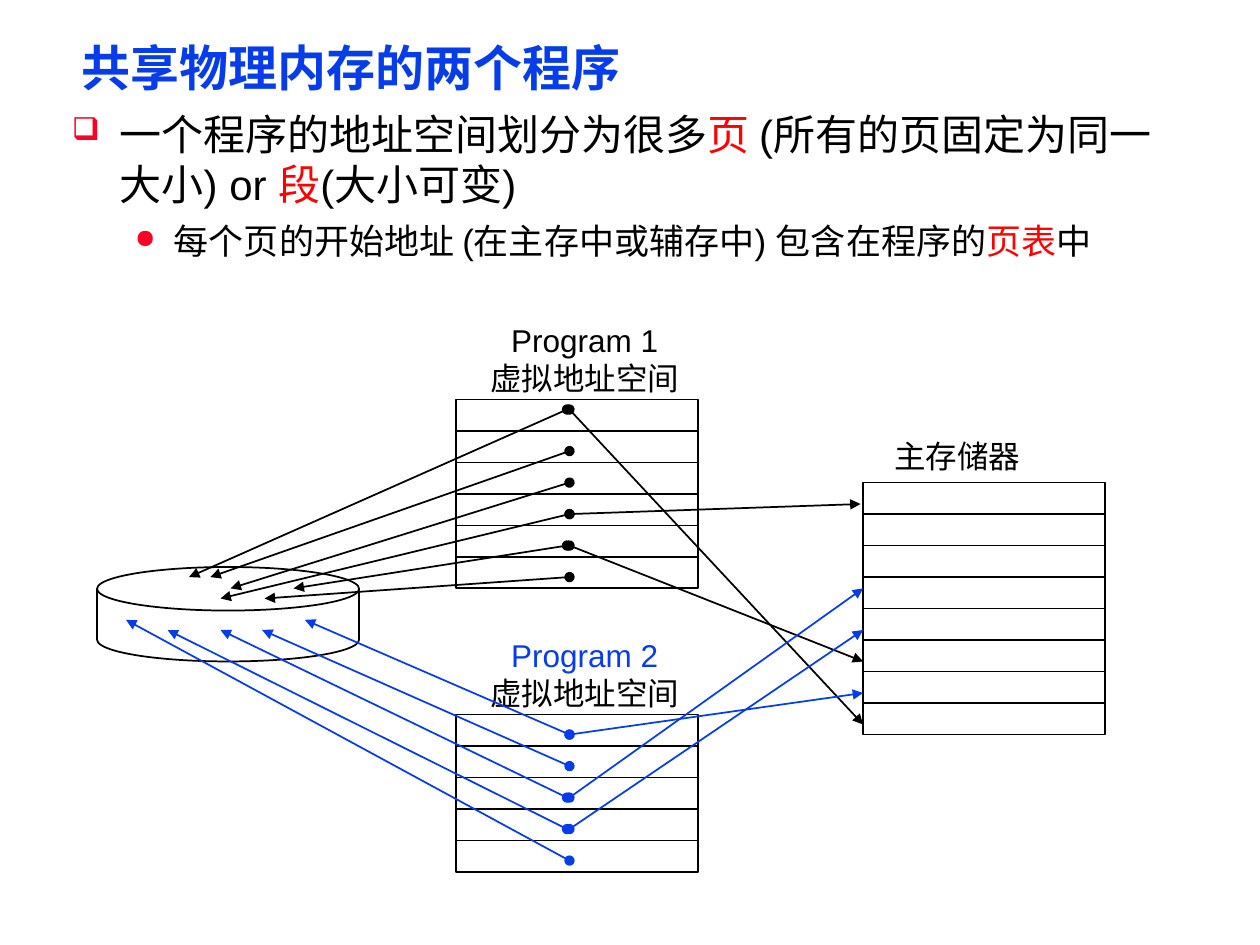
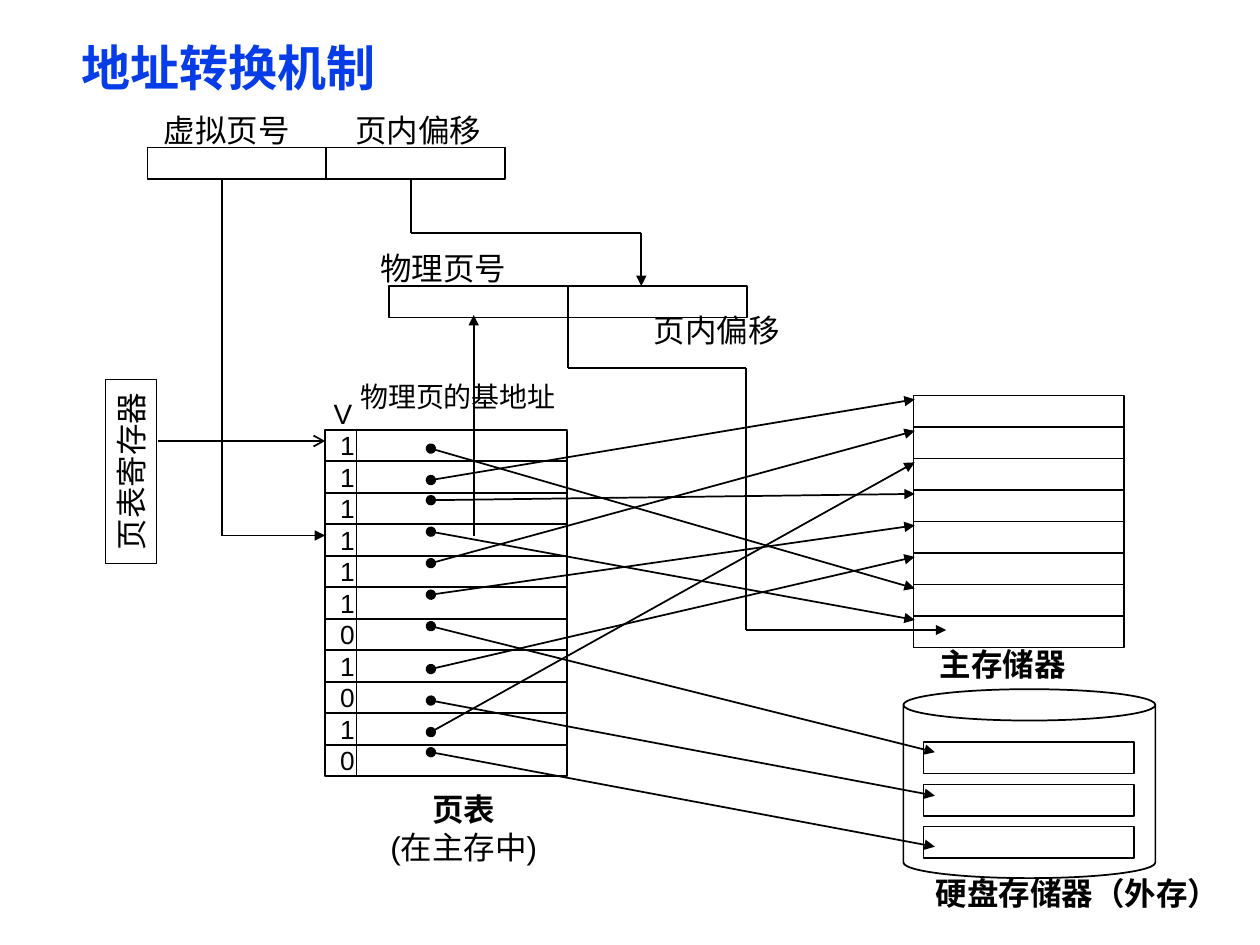
import dataclasses
import itertools

import lxml.etree
import pptx
import pptx.dml.color
import pptx.enum.shapes
import pptx.enum.text
import pptx.oxml.ns
import pptx.util

COLORS = {"ink": "000000", "blue": "063DE8", "red": "FF0000", "bullet": "FC0128"}
FONT = "Arial"
COLS, ROWS = 100, 75
CELL = pptx.util.Inches(0.1)
ROW = 2.5
SHAPE = pptx.enum.shapes.MSO_SHAPE
CENTER = pptx.enum.text.PP_ALIGN.CENTER


@dataclasses.dataclass
class Box:
    """A region measured in grid columns and rows."""
    left: float
    top: float
    width: float
    height: float

    def at(self, x, y):
        """Return the grid point x columns and y rows inside the region."""
        return self.left + x, self.top + y

    def inner(self, x, y, width, height):
        """Return a region placed relative to this one."""
        return Box(*self.at(x, y), width, height)

    def emu(self):
        """Return the region as slide lengths."""
        return [cells(n) for n in dataclasses.astuple(self)]


def cells(count):
    """Turn a count of grid cells into a slide length."""
    return int(count * CELL)


def rgb(name):
    """Look up a palette colour."""
    return pptx.dml.color.RGBColor.from_string(COLORS[name])


def add(parent, tag, **attributes):
    """Append a drawing element to its parent."""
    element = lxml.etree.SubElement(parent, pptx.oxml.ns.qn(tag))
    for key, value in attributes.items():
        element.set(key, value)
    return element


def outline(slide, box, kind=SHAPE.RECTANGLE, width=1):
    """Draw an unfilled preset shape with a black line."""
    shape = slide.shapes.add_shape(kind, *box.emu())
    shape.shadow.inherit = False
    shape.fill.background()
    shape.line.color.rgb = rgb("ink")
    shape.line.width = pptx.util.Pt(width)
    return shape


def line(slide, start, end, color="ink", head=None, tail=None):
    """Draw a straight line with optional end marks."""
    points = [cells(n) for n in (*start, *end)]
    link = slide.shapes.add_connector(pptx.enum.shapes.MSO_CONNECTOR.STRAIGHT, *points)
    link.line.color.rgb = rgb(color)
    link.line.width = pptx.util.Pt(1)
    properties = link.element.spPr
    stroke = properties.find(pptx.oxml.ns.qn("a:ln"))
    for tag, mark in (("a:headEnd", head), ("a:tailEnd", tail)):
        if mark:
            add(stroke, tag, type=mark)
    add(properties, "a:effectLst")


def pointer(slide, start, end, color="ink"):
    """Draw a reference from a dot to a place in storage."""
    line(slide, start, end, color, head="oval", tail="triangle")


def route(slide, *points):
    """Draw a path of straight segments that ends in an arrow."""
    pairs = list(itertools.pairwise(points))
    for start, end in pairs[:-1]:
        line(slide, start, end)
    line(slide, *pairs[-1], tail="triangle")


def write(frame, *paragraphs, size=18, bold=False, color="ink", align=None,
          wrap=False, margins=(1, 0.5), spacing=None):
    """Fill a text frame; a paragraph is a string or a list of (text, format) runs."""
    frame.word_wrap = wrap
    frame.vertical_anchor = pptx.enum.text.MSO_ANCHOR.TOP
    frame.margin_left = frame.margin_right = cells(margins[0])
    frame.margin_top = frame.margin_bottom = cells(margins[1])
    for index, content in enumerate(paragraphs):
        paragraph = frame.add_paragraph() if index else frame.paragraphs[0]
        paragraph.alignment = align
        if spacing:
            paragraph.line_spacing = spacing
        for text, changes in [(content, {})] if isinstance(content, str) else content:
            look = {"size": size, "bold": bold, "color": color, **changes}
            run = paragraph.add_run()
            run.text = text
            run.font.name = FONT
            run.font.size = pptx.util.Pt(look["size"])
            run.font.bold = look["bold"]
            run.font.color.rgb = rgb(look["color"])


def label(slide, box, *paragraphs, **look):
    """Place a text box and return its frame."""
    frame = slide.shapes.add_textbox(*box.emu()).text_frame
    write(frame, *paragraphs, **look)
    return frame


def bullet(paragraph, mark, left, hang, before=0, level=0):
    """Give a paragraph a hanging red bullet."""
    paragraph.level = level
    properties = paragraph._p.get_or_add_pPr()
    properties.set("marL", str(cells(left)))
    properties.set("indent", str(-cells(hang)))
    color = add(properties, "a:buClr")
    add(color, "a:srgbClr", val=COLORS["bullet"])
    add(properties, "a:buSzPct", val="75000")
    add(properties, "a:buChar", char=mark)
    paragraph.space_before = pptx.util.Pt(before)


def titled_slide(deck, title):
    """Add a blank slide with the shared title."""
    slide = deck.slides.add_slide(deck.slide_layouts[6])
    label(slide, Box(5.8, 3.3, 89.2, 4.7), title, size=28, bold=True, color="blue",
          wrap=True, margins=(0.7, 0.3), spacing=0.87)
    return slide


def pages(slide, box):
    """Draw a block of memory ruled into pages of equal height."""
    outline(slide, box)
    for row in range(1, round(box.height / ROW)):
        line(slide, box.at(0, row * ROW), box.at(box.width, row * ROW))


def disk(slide, box, rim):
    """Draw a disk drum with the given rim depth."""
    outline(slide, box, SHAPE.CAN).adjustments[0] = rim


def sharing_text(slide, box):
    """Place the points about pages and segments."""
    red = {"color": "red"}
    detail = {"size": 20}
    frame = label(
        slide, box,
        [("一个程序的地址空间划分为很多", {}), ("页 ", red),
         ("(所有的页固定为同一大小) or ", {}), ("段", red), ("(大小可变)", {})],
        [("每个页的开始地址 (在主存中或辅存中) 包含在程序的", detail),
         ("页表", {**detail, **red}), ("中", detail)],
        size=24, wrap=True, margins=(0.7, 0.3))
    point, subpoint = frame.paragraphs
    bullet(point, "❑", 3.8, 3.8)
    bullet(subpoint, "●", 8.1, 3.1, before=6, level=1)


def program(slide, box, name, color, drum, memory, on_disk, in_memory):
    """Draw a virtual address space and the places its pages map to."""
    pages(slide, box)
    label(slide, box.inner(1.6, -6.7, 17.2, 7.1), [(name, {"color": color})],
          "虚拟地址空间", align=CENTER)
    for dot, place in on_disk:
        pointer(slide, box.at(*dot), drum.at(*place), color)
    for dot, place in in_memory:
        pointer(slide, box.at(*dot), memory.at(*place), color)


def shared_memory_slide(deck):
    """Build the slide on two programs that share physical memory."""
    slide = titled_slide(deck, "共享物理内存的两个程序")
    sharing_text(slide, Box(5, 8.3, 89.2, 13))
    drum = Box(7.7, 45, 20.8, 7.5)
    memory = Box(68.5, 38.3, 19.2, 20)
    disk(slide, drum, 0.461)
    pages(slide, memory)
    label(slide, memory.inner(1.5, -4.1, 12.1, 4), "主存储器")
    program(
        slide, Box(36.2, 31.7, 19.2, 15), "Program 1", "ink", drum, memory,
        on_disk=[((8.8, 0.8), (7.3, 0.8)), ((9, 4.1), (9, 0.8)),
                 ((9, 6.6), (10.6, 1.7)), ((9, 9.1), (9.8, 2.5)),
                 ((8.8, 11.6), (15.6, 1.7)), ((9, 14.1), (13.3, 2.5))],
        in_memory=[((9, 0.8), (0, 19.2)), ((9, 9.1), (-0.2, 1.7)),
                   ((9, 11.6), (0, 14.2))])
    program(
        slide, Box(36.2, 56.7, 19.2, 12.5), "Program 2", "blue", drum, memory,
        on_disk=[((9, 1.6), (16.5, 4.2)), ((9, 4.1), (13.1, 5)),
                 ((8.8, 6.6), (9.8, 5)), ((8.8, 9.1), (5.6, 5)),
                 ((9, 11.6), (2.3, 4.2))],
        in_memory=[((9, 1.6), (0, 16.7)), ((9, 6.6), (0, 8.4)),
                   ((9, 9.1), (0, 11.7))])


def address(slide, box, page_name, page_at, offset_at):
    """Draw an address split into a page number and an offset."""
    half = box.width / 2
    for side in range(2):
        outline(slide, box.inner(side * half, 0, half, box.height))
    for text, place in ((page_name, page_at), ("页内偏移", offset_at)):
        label(slide, box.inner(*place, 12.1, 4), text)


def page_table(slide, box, memory, slots):
    """Draw the page table, its valid bits and the page each entry refers to."""
    entries = [(1, 6, 1.5), (1, 0, 4), (1, 3, 5.6), (1, 7, 8.1), (1, 1, 10.6),
               (1, 4, 13.1), (0, 0, 15.6), (1, 5, 19), (0, 1, 21.5),
               (1, 2, 24), (0, 2, 25.6)]
    slot_marks = [0.8, 0.9, 1.6]
    pages(slide, box)
    line(slide, box.at(ROW, 0), box.at(ROW, box.height))
    label(slide, box.inner(-0.3, -3.1, 3.5, 3.7), "V", size=16)
    label(slide, box.inner(1.7, -4.5, 17.7, 3.7), "物理页的基地址", size=16, align=CENTER)
    label(slide, box.inner(0.2, -0.5, 3.2, 28.5), *[str(valid) for valid, *_ in entries],
          size=15, spacing=pptx.util.Pt(18))
    label(slide, box.inner(4.1, 28.1, 13.8, 7.1), [("页表", {"bold": True})], "(在主存中)",
          align=CENTER, wrap=True)
    for valid, target, height in entries:
        end = (memory.at(0.1, target * ROW + 0.3) if valid
               else slots[target].at(0.9, slot_marks[target]))
        pointer(slide, box.at(8.4, height), end)


def backing_disk(slide, box):
    """Draw the disk store and return the page slots in it."""
    disk(slide, box, 0.166)
    slots = [box.inner(1.6, 4.2 + 3.35 * slot, 16.7, ROW) for slot in range(3)]
    for slot in slots:
        outline(slide, slot)
    label(slide, box.inner(1.6, 14.2, 24.9, 4), "硬盘存储器（外存）", bold=True)
    return slots


def table_register(slide, box, table):
    """Draw the upright page table register that points at the table."""
    register = outline(slide, box, width=0.75)
    register.rotation = 270
    write(register.text_frame, "页表寄存器", align=CENTER)
    line(slide, box.at(9.4, -0.4), table.at(0, 0.9), tail="arrow")


def translation_slide(deck):
    """Build the slide on address translation."""
    slide = titled_slide(deck, "地址转换机制")
    virtual = Box(11.7, 11.7, 28.4, ROW)
    physical = Box(30.9, 22.7, 28.4, ROW)
    table = Box(25.8, 34.1, 19.2, 27.5)
    memory = Box(72.5, 31.4, 16.7, 20)
    address(slide, virtual, "虚拟页号", (0.3, -3.4), (15.5, -3.4))
    address(slide, physical, "物理页号", (-1.7, -3.4), (20, 1.5))
    pages(slide, memory)
    label(slide, memory.inner(1.1, 19.3, 12.2, 4), "主存储器", bold=True)
    slots = backing_disk(slide, Box(71.7, 54.7, 20, 15))
    page_table(slide, table, memory, slots)
    table_register(slide, Box(3.1, 35.4, 14.6, 4), table)
    route(slide, virtual.at(5.9, ROW), (17.6, 42.5), table.at(0, 8.4))
    route(slide, virtual.at(20.9, ROW), (32.6, 18.5), (50.9, 18.5), physical.at(20, 0))
    route(slide, table.at(11.8, 8.4), physical.at(6.7, 2.3))
    route(slide, physical.at(14.2, 2.3), (45.1, 29.2), (59.2, 29.2), (59.2, 50),
          memory.at(2.6, 18.6))


def main():
    """Build and save both slides."""
    deck = pptx.Presentation()
    deck.slide_width, deck.slide_height = cells(COLS), cells(ROWS)
    shared_memory_slide(deck)
    translation_slide(deck)
    deck.save("out.pptx")


if __name__ == "__main__":
    main()
